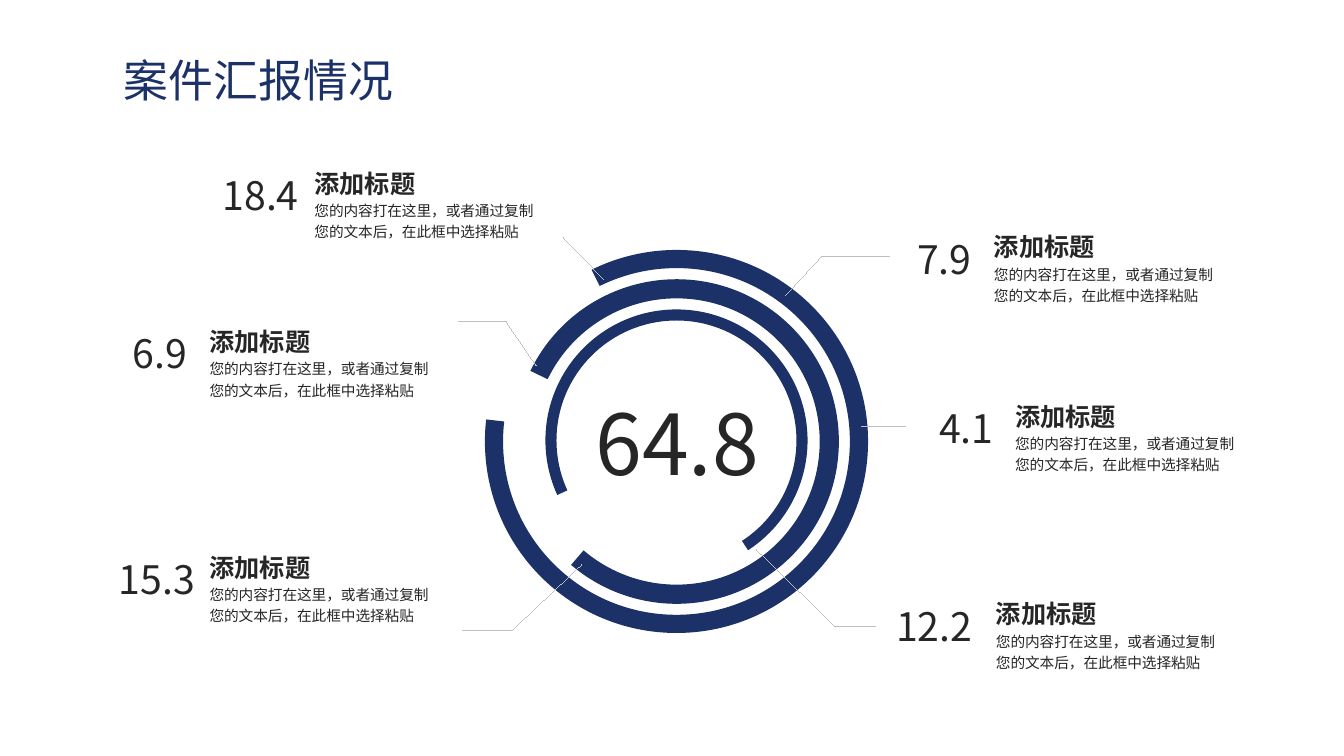
"""Build a slide with concentric ring arcs and six labelled figures."""
import math

import pptx
import pptx.dml.color
import pptx.enum.shapes
import pptx.enum.text
import pptx.oxml.ns
from lxml import etree
from pptx.util import Inches, Pt

COLORS = {"navy": "1B3168", "text": "262626", "line": "BFBFBF"}
RGB = {name: pptx.dml.color.RGBColor.from_string(c) for name, c in COLORS.items()}
FONT = "Noto Sans CJK SC"
BODY = "您的内容打在这里，或者通过复制您的文本后，在此框中选择粘贴"
ANCHOR = pptx.enum.text.MSO_ANCHOR
CENTER = pptx.enum.text.PP_ALIGN.CENTER
FIT = pptx.enum.text.MSO_AUTO_SIZE.SHAPE_TO_FIT_TEXT
STRAIGHT = pptx.enum.shapes.MSO_CONNECTOR.STRAIGHT
qn = pptx.oxml.ns.qn


def add_text(text, x, y, w, h, size, color="text", bold=False, spacing=None,
             align=None, anchor=ANCHOR.TOP, wrap=True, fit=True):
    tf = s.shapes.add_textbox(Inches(x), Inches(y), Inches(w), Inches(h)).text_frame
    tf.word_wrap = wrap
    tf.vertical_anchor = anchor
    if fit:
        tf.auto_size = FIT
    p = tf.paragraphs[0]
    p.text = text
    p.alignment = align
    p.line_spacing = spacing
    p.font.size = Pt(size)
    p.font.bold = bold
    p.font.color.rgb = RGB[color]
    p.font.name = FONT
    latin = p._p.pPr.find(qn("a:defRPr")).find(qn("a:latin"))
    latin.addnext(etree.Element(qn("a:ea"), typeface=FONT))
    return tf


def arc_points(cx, cy, radius, angles):
    points = [(cx + radius * math.cos(angles[0]), cy + radius * math.sin(angles[0]))]
    for a, b in zip(angles, angles[1:]):
        k = radius * 4 / 3 * math.tan((b - a) / 4)
        x0, y0 = points[-1]
        x3, y3 = cx + radius * math.cos(b), cy + radius * math.sin(b)
        points += [(x0 - k * math.sin(a), y0 + k * math.cos(a)),
                   (x3 + k * math.sin(b), y3 - k * math.cos(b)), (x3, y3)]
    return [(Inches(x), Inches(y)) for x, y in points]


prs = pptx.Presentation()
prs.slide_width, prs.slide_height = Inches(13.33), Inches(7.5)
s = prs.slides.add_slide(prs.slide_layouts[6])

rings = [
    (4.37, 1.3, 1.19, 155.4, 416.9),
    (4.38, 1.61, 1.42, 205.8, 490.5),
    (4.38, 1.9, 1.72, 243.7, 546.6),
]
for cy, outer, inner, start, end in rings:
    quarters = [q for q in range(0, 720, 90) if start < q < end]
    angles = [math.radians(a) for a in [start, *quarters, end]]
    points = arc_points(6.71, cy, outer, angles) + arc_points(6.71, cy, inner, angles[::-1])
    fb = s.shapes.build_freeform(*points[0])
    fb.add_line_segments(points[1:])
    sp = fb.convert_to_shape()
    segments = list(sp._element.iter(qn("a:lnTo")))
    count = 3 * (len(angles) - 1)
    for i in [*range(0, count, 3), *range(count + 1, 2 * count + 1, 3)]:
        curve = etree.Element(qn("a:cubicBezTo"))
        segments[i].addprevious(curve)
        for segment in segments[i:i + 3]:
            curve.append(segment[0])
            segment.getparent().remove(segment)
    sp.shadow.inherit = False
    sp.fill.solid()
    sp.fill.fore_color.rgb = RGB["navy"]
    sp.line.fill.background()

leaders = [
    [(7.79, 2.93), (8.15, 2.54), (8.82, 2.54)],
    [(8.54, 4.23), (8.98, 4.23)],
    [(7.5, 5.45), (8.29, 6.22), (8.68, 6.22)],
    [(5.77, 5.6), (5.07, 6.26), (4.59, 6.26)],
    [(5.32, 3.63), (5.02, 3.19), (4.55, 3.19)],
    [(5.99, 2.77), (5.59, 2.36)],
]
for leader in leaders:
    points = [(Inches(x), Inches(y)) for x, y in leader]
    if len(points) == 2:
        sp = s.shapes.add_connector(STRAIGHT, *points[0], *points[1])
    else:
        fb = s.shapes.build_freeform(*points[0])
        fb.add_line_segments(points[1:], close=False)
        sp = fb.convert_to_shape()
        sp.fill.background()
    sp.line.color.rgb = RGB["line"]
    spPr = sp._element.spPr
    spPr.find(qn("a:ln")).set("w", "0")
    etree.SubElement(spPr, qn("a:effectLst"))

tf = add_text("64.8", 5.87, 3.88, 1.69, 1.01, 60, align=CENTER, anchor=ANCHOR.MIDDLE, wrap=False)
tf.margin_left = tf.margin_right = tf.margin_top = tf.margin_bottom = 0

figures = [
    ("18.4", 2.09, 0.99, 3.02, 1.47),
    ("7.9", 8.98, 0.77, 9.76, 2.1),
    ("4.1", 9.2, 0.77, 9.97, 3.78),
    ("12.2", 8.77, 0.99, 9.78, 5.74),
    ("15.3", 1.06, 0.99, 1.98, 5.28),
    ("6.9", 1.2, 0.77, 1.98, 3.04),
]
for value, value_x, value_w, x, y in figures:
    add_text("添加标题", x, y, 1.63, 0.51, 18, bold=True, spacing=1.5)
    add_text(BODY, x, y + 0.45, 2.39, 0.53, 10.5, spacing=1.2)
    add_text(value, value_x, y + 0.18, value_w, 0.57, 28,
             align=CENTER, anchor=ANCHOR.MIDDLE, wrap=False)

tf = add_text("案件汇报情况", 1.16, 0.55, 4.33, 0.47, 32, "navy", anchor=ANCHOR.MIDDLE, fit=False)
tf.margin_left = tf.margin_right = Inches(0.07)
tf.margin_top = tf.margin_bottom = Inches(0.04)

prs.save("out.pptx")
